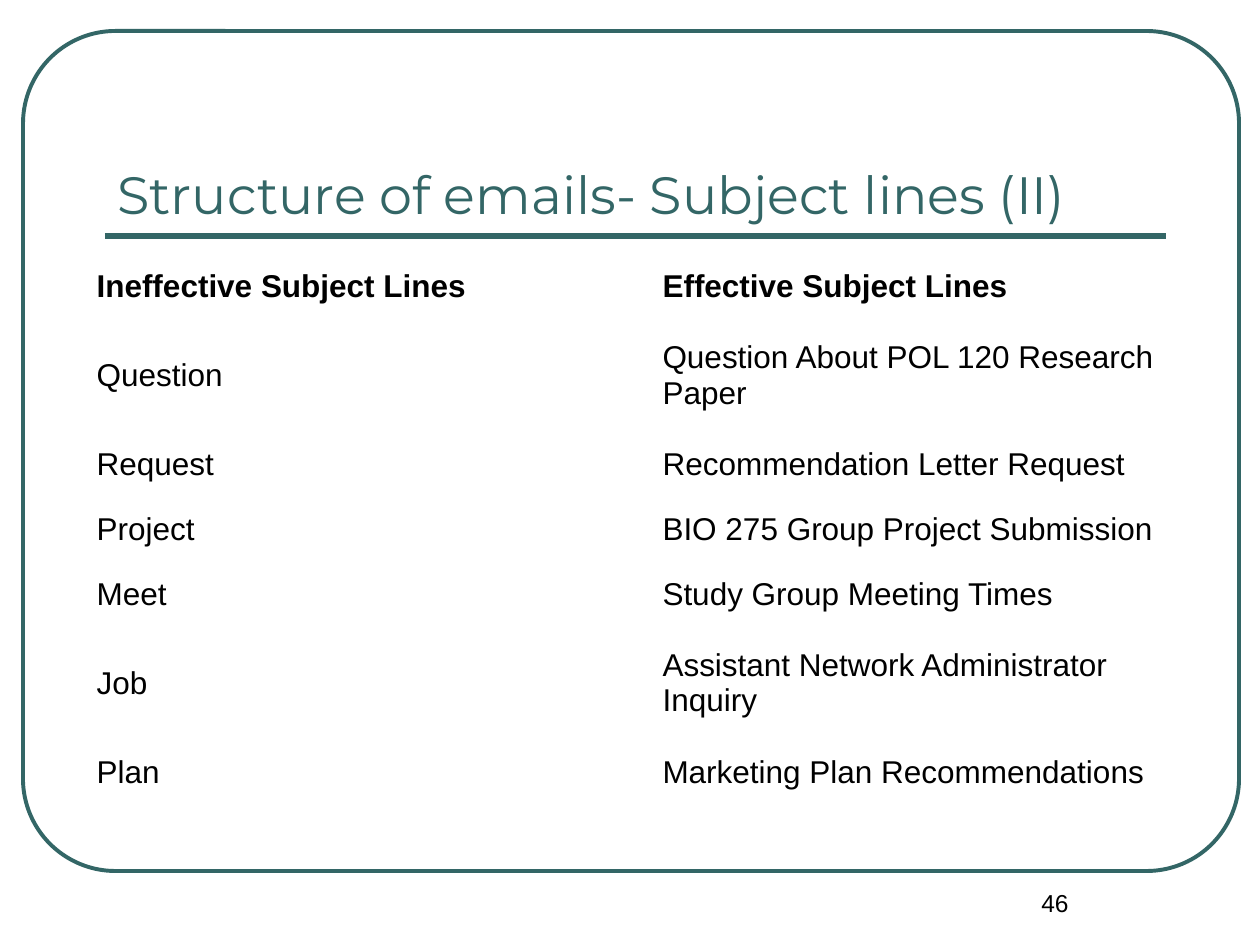
from dataclasses import dataclass

from pptx import Presentation
from pptx import util as u
from pptx.dml.color import RGBColor
from pptx.enum import shapes, text
from pptx.oxml.ns import qn
from lxml import etree

EMU_PER_PIXEL = 914400 // 126


@dataclass(frozen=True)
class Theme:
    accent: RGBColor = RGBColor(0x33, 0x66, 0x66)
    ink: RGBColor = RGBColor(0, 0, 0)
    title_font: str = "Montserrat"
    body_font: str = "Arial"
    title_size: int = 30
    body_size: int = 18
    number_size: int = 14
    frame_line: float = 2.25
    rule_line: float = 3


THEME = Theme()

SUBJECT_LINES = [
    ("Ineffective Subject Lines", "Effective Subject Lines"),
    ("Question", "Question About POL 120 Research Paper"),
    ("Request", "Recommendation Letter Request"),
    ("Project", "BIO 275 Group Project Submission"),
    ("Meet", "Study Group Meeting Times"),
    ("Job", "Assistant Network Administrator Inquiry"),
    ("Plan", "Marketing Plan Recommendations"),
]
TALL_ROWS = {1, 5}
ROW_HEIGHT, TALL_ROW_HEIGHT = 65, 113


def px(*lengths):
    return [u.Emu(length * EMU_PER_PIXEL) for length in lengths]


def format_text(frame, font, size, color, bold=False):
    for para in frame.paragraphs:
        for span in para.runs:
            span.font.name = font
            span.font.size = u.Pt(size)
            span.font.color.rgb = color
            span.font.bold = bold


def add_frame(page, left, top, width, height):
    frame = page.shapes.add_shape(
        shapes.MSO_SHAPE.ROUNDED_RECTANGLE, *px(left, top, width, height))
    frame.adjustments[0] = 0.11
    frame.shadow.inherit = False
    frame.fill.background()
    frame.line.color.rgb = THEME.accent
    frame.line.width = u.Pt(THEME.frame_line)


def add_rule(page, left, right, y):
    rule = page.shapes.add_connector(
        shapes.MSO_CONNECTOR.STRAIGHT, *px(left, y, right, y))
    rule.line.color.rgb = THEME.accent
    rule.line.width = u.Pt(THEME.rule_line)
    etree.SubElement(rule._element.spPr, qn("a:effectLst"))


def add_text(page, wording, bounds, font, size, color, align, anchor):
    box = page.shapes.add_textbox(*px(*bounds))
    frame = box.text_frame
    frame.word_wrap = True
    frame.vertical_anchor = anchor
    frame.text = wording
    frame.paragraphs[0].alignment = align
    format_text(frame, font, size, color)


def add_subject_table(page, left, top, column_width):
    heights = [TALL_ROW_HEIGHT if index in TALL_ROWS else ROW_HEIGHT
               for index in range(len(SUBJECT_LINES))]
    table = page.shapes.add_table(
        len(SUBJECT_LINES), 2,
        *px(left, top, 2 * column_width, sum(heights))).table
    table.first_row = table.horz_banding = False
    for column in table.columns:
        column.width, = px(column_width)
    for index, wordings in enumerate(SUBJECT_LINES):
        table.rows[index].height, = px(heights[index])
        for cell, wording in zip(table.rows[index].cells, wordings):
            cell.fill.background()
            cell.vertical_anchor = text.MSO_ANCHOR.MIDDLE
            cell.text_frame.text = wording
            format_text(cell.text_frame, THEME.body_font, THEME.body_size,
                        THEME.ink, bold=index == 0)


def main():
    deck = Presentation()
    deck.slide_width, deck.slide_height = u.Inches(10), u.Inches(7.5)
    page = deck.slides.add_slide(deck.slide_layouts[6])

    # Frame and title rule
    add_frame(page, 23, 31, 1216, 840)
    add_rule(page, 105, 1166, 236)

    # Title
    add_text(page, "Structure of emails- Subject lines (II)",
             (105, 73, 1061, 158), THEME.title_font, THEME.title_size,
             THEME.accent, text.PP_ALIGN.LEFT, text.MSO_ANCHOR.BOTTOM)

    # Comparison of subject lines
    add_subject_table(page, 84, 254, 566)

    # Page number
    add_text(page, "46", (945, 882, 220, 63), THEME.body_font,
             THEME.number_size, THEME.ink, text.PP_ALIGN.CENTER,
             text.MSO_ANCHOR.TOP)

    deck.save("out.pptx")


main()
